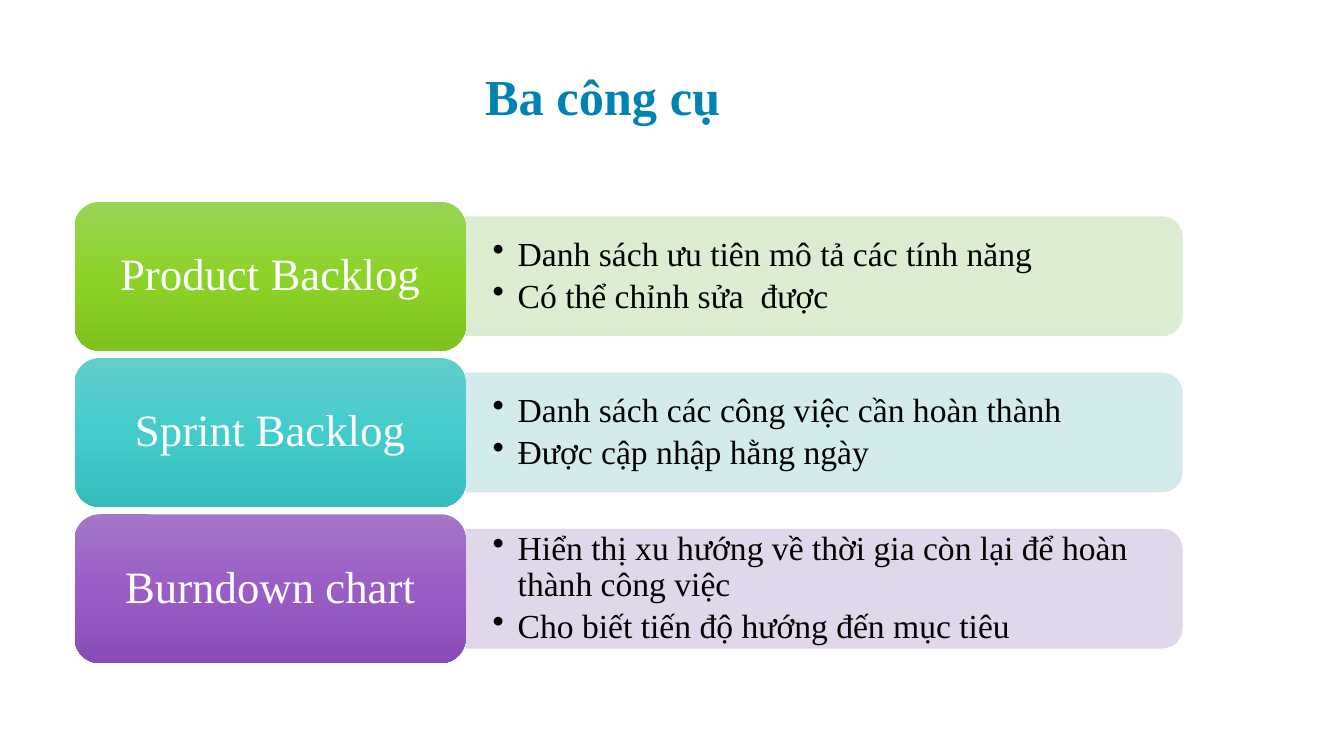
import copy

import pptx
import pptx.dml.color
import pptx.enum.shapes
import pptx.enum.text
import pptx.oxml
import pptx.oxml.ns
import pptx.util

Pt = pptx.util.Pt
RGBColor = pptx.dml.color.RGBColor
SHAPES = pptx.enum.shapes.MSO_SHAPE
ANCHOR = pptx.enum.text.MSO_ANCHOR
ALIGN = pptx.enum.text.PP_ALIGN
qn = pptx.oxml.ns.qn

FONT = "Times New Roman"
BLUE = RGBColor(0x00, 0x83, 0xB3)
BLACK = RGBColor(0x00, 0x00, 0x00)
WHITE = RGBColor(0xFF, 0xFF, 0xFF)
PALE_GREEN = RGBColor(0xDA, 0xEC, 0xCD)
PALE_TEAL = RGBColor(0xD0, 0xE9, 0xEA)
PALE_PURPLE = RGBColor(0xDE, 0xD3, 0xE9)
GREENS = (RGBColor(0x98, 0xD4, 0x55), RGBColor(0x8C, 0xD3, 0x28), RGBColor(0x7E, 0xC2, 0x1D))
TEALS = (RGBColor(0x64, 0xCD, 0xCD), RGBColor(0x42, 0xCD, 0xCC), RGBColor(0x34, 0xBD, 0xBC))
PURPLES = (RGBColor(0xA4, 0x76, 0xC8), RGBColor(0x9A, 0x5D, 0xC6), RGBColor(0x89, 0x4D, 0xB5))

TOOLS = [
    ("Product Backlog", GREENS, PALE_GREEN,
     ["Danh sách ưu tiên mô tả các tính năng", "Có thể chỉnh sửa  được"]),
    ("Sprint Backlog", TEALS, PALE_TEAL,
     ["Danh sách các công việc cần hoàn thành", "Được cập nhập hằng ngày"]),
    ("Burndown chart", PURPLES, PALE_PURPLE,
     ["Hiển thị xu hướng về thời gia còn lại để hoàn thành công việc",
      "Cho biết tiến độ hướng đến mục tiêu"]),
]


def write_text(shape, lines, size, color, bold=False, align=ALIGN.LEFT, anchor=ANCHOR.MIDDLE,
               line_spacing=0.9, space_after=0, insets=(7.2, 3.6), bullet=False):
    """Fill a shape with one formatted paragraph per line."""
    frame = shape.text_frame
    frame.word_wrap = True
    frame.auto_size = pptx.enum.text.MSO_AUTO_SIZE.NONE
    frame.vertical_anchor = anchor
    frame.margin_left = frame.margin_right = Pt(insets[0])
    frame.margin_top = frame.margin_bottom = Pt(insets[1])
    frame.text = "\n".join(lines)
    for paragraph in frame.paragraphs:
        paragraph.alignment = align
        paragraph.line_spacing = line_spacing
        paragraph.space_before = Pt(0)
        paragraph.space_after = Pt(space_after)
        font = paragraph.runs[0].font
        font.name, font.size, font.bold = FONT, Pt(size), bold
        font.color.rgb = color
        if bullet:
            properties = paragraph._p.get_or_add_pPr()
            properties.set("marL", str(Pt(18)))
            properties.set("indent", str(-Pt(18)))
            mark = properties.makeelement(qn("a:buChar"), {"char": "•"})
            properties.append(mark)


def add_title(slide, text, left, top, width, height):
    """Place the slide title in the given box."""
    title = slide.shapes.title
    title.left, title.top, title.width, title.height = map(Pt, (left, top, width, height))
    write_text(title, [text], size=36, color=BLUE, bold=True, align=ALIGN.CENTER,
               anchor=ANCHOR.BOTTOM, line_spacing=0.8)


def add_label(slide, text, colors, left, top, width, height):
    """Draw the rounded gradient block that names a tool."""
    label = slide.shapes.add_shape(SHAPES.ROUNDED_RECTANGLE, *map(Pt, (left, top, width, height)))
    label.shadow.inherit = False
    label.line.fill.background()
    label.fill.gradient()
    label.fill.gradient_angle = 270
    stop_list = label._element.spPr.find(".//" + qn("a:gsLst"))
    stop_list.append(copy.deepcopy(stop_list[-1]))
    for stop, position, color in zip(label.fill.gradient_stops, (0, 0.5, 1), colors):
        stop.position = position
        stop.color.rgb = color
    write_text(label, [text], size=32, color=WHITE, align=ALIGN.CENTER, insets=(14.4, 10))


def add_panel(slide, lines, color, left, top, width, height):
    """Draw the pale panel, rounded on its right side, and its bullets."""
    panel = slide.shapes.add_shape(
        SHAPES.ROUND_2_SAME_RECTANGLE, Pt(left + (width - height) / 2),
        Pt(top + (height - width) / 2), Pt(height), Pt(width))
    panel.rotation = 90
    panel.shadow.inherit = False
    panel.fill.solid()
    panel.fill.fore_color.rgb = color
    panel.line.color.rgb = color
    panel.line.width = Pt(0.5)
    for tint in panel._element.spPr.iter(qn("a:srgbClr")):
        tint.append(tint.makeelement(qn("a:alpha"), {"val": "90000"}))
    bullets = slide.shapes.add_textbox(Pt(left), Pt(top + 4), Pt(width - 4), Pt(height - 8))
    write_text(bullets, lines, size=24, color=BLACK, space_after=4, insets=(19.2, 9.8),
               bullet=True)


def add_tools(slide, left, top, width, height):
    """Stack one label and panel per tool in the given box."""
    gap = 5.3
    row_height = (height - gap * (len(TOOLS) - 1)) / len(TOOLS)
    label_width = width * 0.353
    panel_height = row_height * 0.8
    for index, (name, gradient, tint, lines) in enumerate(TOOLS):
        row_top = top + index * (row_height + gap)
        add_panel(slide, lines, tint, left + label_width,
                  row_top + (row_height - panel_height) / 2, width - label_width, panel_height)
        add_label(slide, name, gradient, left, row_top, label_width, row_height)


def main():
    """Build and save the presentation."""
    presentation = pptx.Presentation()
    presentation.slide_width, presentation.slide_height = Pt(960), Pt(540)
    slide = presentation.slides.add_slide(presentation.slide_layouts[5])
    add_title(slide, "Ba công cụ", left=88.5, top=9.4, width=684, height=84)
    add_tools(slide, left=53.4, top=144.2, width=791, height=329.4)
    presentation.save("out.pptx")


if __name__ == "__main__":
    main()
